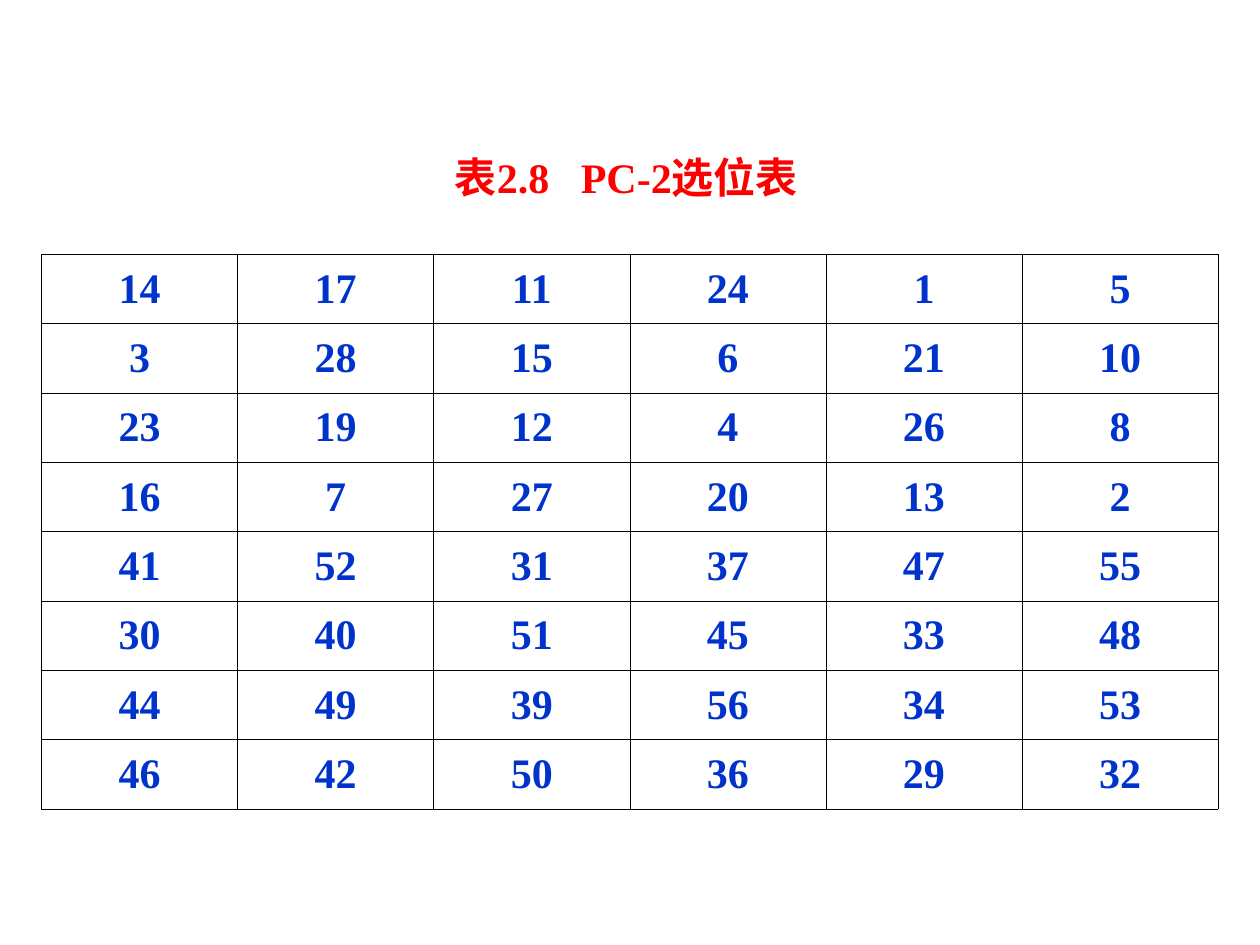
from lxml.etree import SubElement
from pptx import Presentation
from pptx.dml.color import RGBColor
from pptx.enum.text import MSO_ANCHOR as Anchor, MSO_AUTO_SIZE as AutoSize, PP_ALIGN as Align
from pptx.oxml.ns import qn
from pptx.util import Inches, Pt

TITLE = "表2.8   PC-2选位表"
PC2_ROWS = [
    [14, 17, 11, 24, 1, 5],
    [3, 28, 15, 6, 21, 10],
    [23, 19, 12, 4, 26, 8],
    [16, 7, 27, 20, 13, 2],
    [41, 52, 31, 37, 47, 55],
    [30, 40, 51, 45, 33, 48],
    [44, 49, 39, 56, 34, 53],
    [46, 42, 50, 36, 29, 32],
]


def color(value):
    return RGBColor.from_string(value)


class SlideBuilder:
    font_name = "Times New Roman"
    font_size = Pt(24)
    title_color = "FF0000"
    number_color = "0033CC"
    border_color = "000000"
    border_width = Pt(0.45)

    def __init__(self, presentation):
        self.slide = presentation.slides.add_slide(presentation.slide_layouts[5])

    def format_text(self, text_frame, text, text_color, alignment):
        text_frame.text = text
        paragraph = text_frame.paragraphs[0]
        paragraph.alignment = alignment
        font = paragraph.runs[0].font
        font.name = self.font_name
        font.size = self.font_size
        font.bold = True
        font.color.rgb = color(text_color)

    def add_title(self, text, left, top, width, height):
        title = self.slide.shapes.title
        title.left, title.top = Inches(left), Inches(top)
        title.width, title.height = Inches(width), Inches(height)
        text_frame = title.text_frame
        text_frame.word_wrap = False
        text_frame.auto_size = AutoSize.NONE
        text_frame.margin_right = Inches(0)
        text_frame.vertical_anchor = Anchor.TOP
        self.format_text(text_frame, text, self.title_color, Align.LEFT)

    def add_borders(self, cell):
        properties = cell._tc.get_or_add_tcPr()
        for side in ("a:lnL", "a:lnR", "a:lnT", "a:lnB"):
            line = SubElement(properties, qn(side), w=str(self.border_width))
            fill = SubElement(line, qn("a:solidFill"))
            SubElement(fill, qn("a:srgbClr"), val=self.border_color)

    def add_table(self, rows, left, top, width, height):
        table = self.slide.shapes.add_table(
            len(rows), len(rows[0]),
            Inches(left), Inches(top), Inches(width), Inches(height),
        ).table
        table.first_row = table.horz_banding = False
        for row_index, row in enumerate(rows):
            for column_index, number in enumerate(row):
                cell = table.cell(row_index, column_index)
                cell.vertical_anchor = Anchor.MIDDLE
                self.add_borders(cell)
                cell.fill.background()
                self.format_text(cell.text_frame, str(number), self.number_color, Align.CENTER)


def main():
    presentation = Presentation()
    presentation.slide_width = Inches(10)
    presentation.slide_height = Inches(7.5)
    builder = SlideBuilder(presentation)
    builder.add_title(TITLE, 3.51, 1.15, 3.08, 0.5)
    builder.add_table(PC2_ROWS, 0.33, 2.02, 9.34, 4.4)
    presentation.save("out.pptx")


if __name__ == "__main__":
    main()
